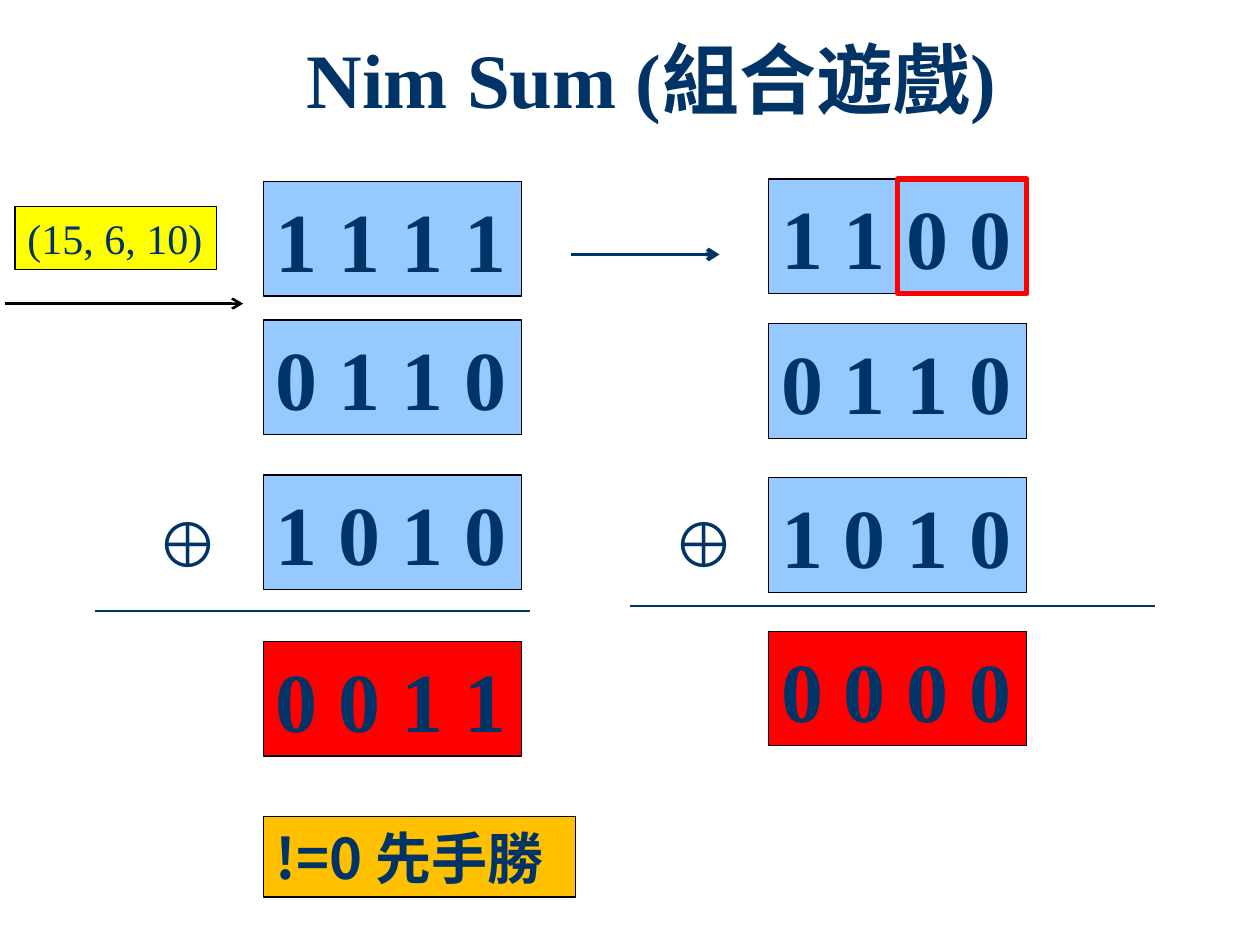
from collections import namedtuple

from lxml.etree import SubElement
from pptx import Presentation
from pptx.dml.color import RGBColor
from pptx.enum.shapes import MSO_CONNECTOR as Connector, MSO_SHAPE as Shape
from pptx.enum.text import MSO_ANCHOR as Anchor, MSO_AUTO_SIZE as AutoSize, PP_ALIGN as Align
from pptx.oxml.ns import qn
from pptx.util import Inches, Pt

NAVY = RGBColor(0x00, 0x33, 0x66)
BLACK = RGBColor(0x00, 0x00, 0x00)
YELLOW = RGBColor(0xFF, 0xFF, 0x00)
SKY = RGBColor(0x95, 0xC9, 0xFF)
RED = RGBColor(0xFF, 0x00, 0x00)
AMBER = RGBColor(0xFF, 0xC0, 0x00)
SERIF = "Times New Roman"
CJK = "Noto Sans CJK SC"
SLIDE_W, SLIDE_H = Inches(10), Inches(7.5)
COLUMN, ROW = SLIDE_W / 100, SLIDE_H / 75
CELL_W, CELL_H = 20.5, 9.1
Box = namedtuple("Box", "left top width height")


def emu(box):
    """Turn a box in grid columns and rows into slide lengths."""
    return (round(box.left * COLUMN), round(box.top * ROW),
            round(box.width * COLUMN), round(box.height * ROW))


def write(paragraph, text, size, typeface=SERIF, bold=True):
    """Add one navy run in the given typeface."""
    run = paragraph.add_run()
    run.text = text
    formats = {"size": Pt(size), "name": typeface, "bold": bold}
    for key, value in formats.items():
        setattr(run.font, key, value)
    run.font.color.rgb = NAVY
    SubElement(run.font._element, qn("a:ea"), typeface=typeface)


def fit(frame):
    """Make a text frame grow around one unwrapped line."""
    formats = {"word_wrap": False, "auto_size": AutoSize.SHAPE_TO_FIT_TEXT,
               "vertical_anchor": Anchor.MIDDLE}
    for key, value in formats.items():
        setattr(frame, key, value)
    frame.paragraphs[0].alignment = Align.LEFT
    return frame.paragraphs[0]


def frame_box(slide, box, fill=None, edge=BLACK, weight=0.75):
    """Draw a rectangle, hollow when no fill is given."""
    panel = slide.shapes.add_shape(Shape.RECTANGLE, *emu(box))
    panel.shadow.inherit = False
    if fill is None:
        panel.fill.background()
    else:
        panel.fill.solid()
        panel.fill.fore_color.rgb = fill
    panel.line.color.rgb = edge
    panel.line.width = Pt(weight)
    return panel


def label(slide, box, fill, text, size, **style):
    """Draw a filled rectangle that carries one line of text."""
    write(fit(frame_box(slide, box, fill).text_frame), text, size, **style)


def rule(slide, left, top, width, color=NAVY, weight=0.75, arrow=False):
    """Draw a horizontal line, with an open arrowhead if asked."""
    x, y, length, _ = emu(Box(left, top, width, 0))
    line = slide.shapes.add_connector(Connector.STRAIGHT, x, y, x + length, y)
    line.line.color.rgb = color
    line.line.width = Pt(weight)
    if arrow:
        SubElement(line.line._get_or_add_ln(), qn("a:tailEnd"), type="arrow")
    SubElement(line._element.spPr, qn("a:effectLst"))


def heading(slide, box):
    """Write the centred title in two typefaces."""
    frame = slide.shapes.add_textbox(*emu(box)).text_frame
    frame.word_wrap = True
    frame.vertical_anchor = Anchor.MIDDLE
    title = frame.paragraphs[0]
    title.alignment = Align.CENTER
    title.line_spacing = 0.9
    for text, typeface in (("Nim Sum (", SERIF), ("組合遊戲", CJK), (")", SERIF)):
        write(title, text, 44, typeface)


def starting_piles(slide, box):
    """Show the pile sizes above an arrow to their binary form."""
    label(slide, box, YELLOW, "(15, 6, 10)", 24, bold=False)
    rule(slide, box.left - 0.8, box.top + 7.7, 18.9, BLACK, 1.5, arrow=True)


def nim_addition(slide, box, numbers, offsets, xor_shift, bar_shift, bar_drop):
    """Stack binary piles over their nim sum, with sign and bar."""
    fills = [SKY] * 3 + [RED]
    for bits, drop, fill in zip(numbers, offsets, fills):
        cell = Box(box.left, box.top + drop, CELL_W, CELL_H)
        label(slide, cell, fill, bits, 48)
    rule(slide, box.left + bar_shift, box.top + bar_drop, box.width)
    sign = Box(box.left + xor_shift, 39.5, 7.1, 7.1)
    write(fit(slide.shapes.add_textbox(*emu(sign)).text_frame), "⊕", 36)


def winning_move(slide, box):
    """Point to the changed pile and outline its changed bits."""
    half = CELL_W / 2
    rule(slide, box.left - 15.7, box.top + 6, 11.8, weight=2.25, arrow=True)
    frame_box(slide, Box(box.left + half, box.top, half, CELL_H), edge=RED, weight=3)


def main():
    """Build the slide and save it."""
    deck = Presentation()
    deck.slide_width, deck.slide_height = SLIDE_W, SLIDE_H
    slide = deck.slides.add_slide(deck.slide_layouts[6])
    before = Box(20.9, 14.4, 34.6, 45.6)
    after = Box(61, 14.2, 41.7, 45)
    heading(slide, Box(11.7, 2, 80, 9.2))
    starting_piles(slide, Box(1.2, 16.4, 16, 5))
    nim_addition(slide, before, ("1 1 1 1", "0 1 1 0", "1 0 1 0", "0 0 1 1"),
                 (0, 11, 23.3, 36.5), -9.5, -13.4, 34.1)
    label(slide, Box(before.left, 64.8, 24.8, 6.4), AMBER, "!=0 先手勝", 32, typeface=CJK)
    nim_addition(slide, after, ("1 1 0 0", "0 1 1 0", "1 0 1 0", "0 0 0 0"),
                 (0, 11.5, 23.7, 35.9), -8.6, -11, 33.9)
    winning_move(slide, after)
    deck.save("out.pptx")


if __name__ == "__main__":
    main()
